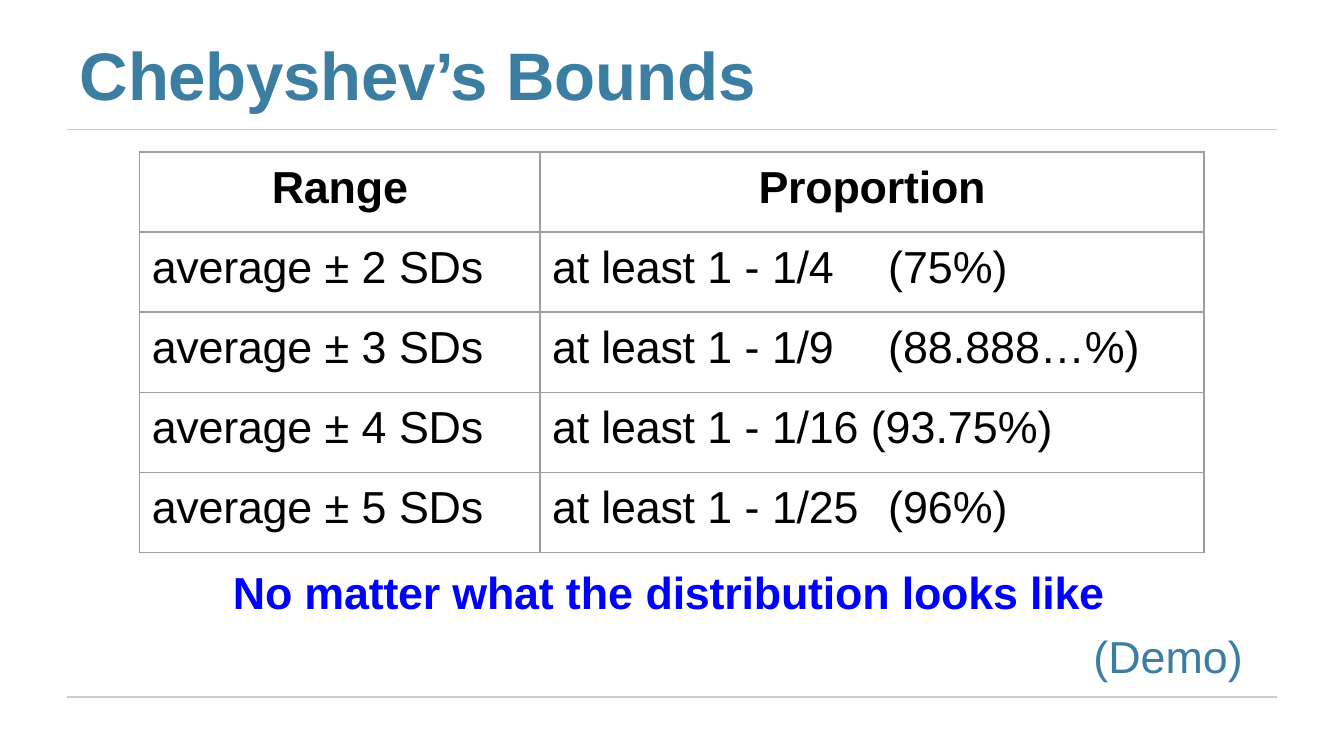
from dataclasses import dataclass
from typing import Optional

from lxml.etree import SubElement
from pptx import Presentation
from pptx.dml.color import RGBColor
from pptx.enum.shapes import MSO_CONNECTOR as Connector
from pptx.enum.text import PP_ALIGN as Align
from pptx.oxml import parse_xml
from pptx.oxml.ns import nsdecls, qn
from pptx.util import Pt

BLACK = RGBColor(0x00, 0x00, 0x00)
BLUE = RGBColor(0x00, 0x00, 0xFF)
TEAL = RGBColor(0x3B, 0x7E, 0xA1)
RULE_GRAY = RGBColor(0xCC, 0xCC, 0xCC)
BORDER_GRAY = RGBColor(0x9E, 0x9E, 0x9E)
FONT = "Arial"
LINE_WIDTH = Pt(0.75)
TIGHT = -0.1


@dataclass
class Piece:
    text: str
    spacing: float = TIGHT


@dataclass
class Line:
    pieces: list[Piece]
    before: float = 5.8
    indent: float = 6.5
    tab: Optional[float] = None
    align: Align = Align.LEFT
    size: float = 24
    color: RGBColor = BLACK
    bold: bool = False


@dataclass
class Bound:
    deviations: int
    fraction: str
    percent: str
    tab: Optional[float] = None


BOUNDS = [
    Bound(2, "1/4", "(75%)", 178.6),
    Bound(3, "1/9", "(88.888…%)", 178.6),
    Bound(4, "1/16", "(93.75%)"),
    Bound(5, "1/25", "(96%)", 185),
]


def write_line(paragraph, line: Line) -> None:
    paragraph.alignment = line.align
    paragraph.space_before = Pt(line.before)
    properties = paragraph._p.get_or_add_pPr()
    properties.set("marL", str(Pt(line.indent)))
    properties.set("indent", "0")
    if line.tab is not None:
        tab_list = SubElement(properties, qn("a:tabLst"))
        SubElement(tab_list, qn("a:tab"), pos=str(Pt(line.tab)), algn="l")
    for piece in line.pieces:
        run = paragraph.add_run()
        run.text = piece.text
        run.font.name = FONT
        run.font.size = Pt(line.size)
        run.font.bold = line.bold
        run.font.color.rgb = line.color
        run._r.get_or_add_rPr().set("spc", str(round(piece.spacing * 100)))


def add_text(slide, left: float, top: float, width: float, height: float,
             inset: float, lines: list[Line]) -> None:
    frame = slide.shapes.add_textbox(Pt(left), Pt(top), Pt(width), Pt(height)).text_frame
    frame.word_wrap = True
    frame.margin_left = frame.margin_right = frame.margin_bottom = 0
    frame.margin_top = Pt(inset)
    for index, line in enumerate(lines):
        write_line(frame.add_paragraph() if index else frame.paragraphs[0], line)


def add_rule(slide, top: float) -> None:
    rule = slide.shapes.add_connector(Connector.STRAIGHT, Pt(36), Pt(top), Pt(684), Pt(top))
    rule.line.color.rgb = RULE_GRAY
    rule.line.width = LINE_WIDTH
    SubElement(rule._element.spPr, qn("a:effectLst"))


def fill_cell(cell, line: Line) -> None:
    cell.margin_left = cell.margin_right = cell.margin_bottom = 0
    cell.margin_top = Pt(5.8)
    cell.fill.background()
    properties = cell._tc.get_or_add_tcPr()
    for position, side in enumerate("LRTB"):
        properties.insert(position, parse_xml(
            f'<a:ln{side} {nsdecls("a")} w="{LINE_WIDTH}"><a:solidFill>'
            f'<a:srgbClr val="{BORDER_GRAY}"/></a:solidFill></a:ln{side}>'))
    write_line(cell.text_frame.paragraphs[0], line)


def heading(text: str) -> Line:
    return Line([Piece(text)], indent=0, align=Align.CENTER, bold=True)


def bound_row(bound: Bound) -> list[Line]:
    gap = " " if bound.tab is None else "\t"
    return [
        Line([Piece("average "), Piece(f"± {bound.deviations} ", 0), Piece("SDs")]),
        Line([Piece("at least "), Piece("1 - ", 0), Piece(bound.fraction + gap),
              Piece(bound.percent, 0)], tab=bound.tab),
    ]


def add_bounds_table(slide) -> None:
    rows = [[heading("Range"), heading("Proportion")]] + [bound_row(bound) for bound in BOUNDS]
    widths = [214.5, 355.7]
    row_height = 42.9
    table = slide.shapes.add_table(len(rows), len(widths), Pt(74.8), Pt(81.4),
                                   Pt(sum(widths)), Pt(row_height * len(rows))).table
    table.first_row = table.horz_banding = False
    for column, width in zip(table.columns, widths):
        column.width = Pt(width)
    for row, lines in zip(table.rows, rows):
        row.height = Pt(row_height)
        for cell, line in zip(row.cells, lines):
            fill_cell(cell, line)


presentation = Presentation()
presentation.slide_width = Pt(720)
presentation.slide_height = Pt(405)
slide = presentation.slides.add_slide(presentation.slide_layouts[6])

for rule_top in (69.25, 373.5):
    add_rule(slide, rule_top)
add_text(slide, 41.8, 16.6, 366.5, 45.4, 1, [
    Line([Piece("Chebyshev’s ", -0.2), Piece("Bounds")],
         before=1, indent=1, size=36, color=TEAL, bold=True),
])
add_bounds_table(slide)
add_text(slide, 123.8, 296, 543, 70.6, 6.5, [
    Line([Piece("No matter what "), Piece("the ", 0), Piece("distribution looks like")],
         before=6.5, indent=1, color=BLUE, bold=True),
    Line([Piece("(Demo)", 0)], before=5.6, indent=462, color=TEAL),
])

presentation.save("out.pptx")
